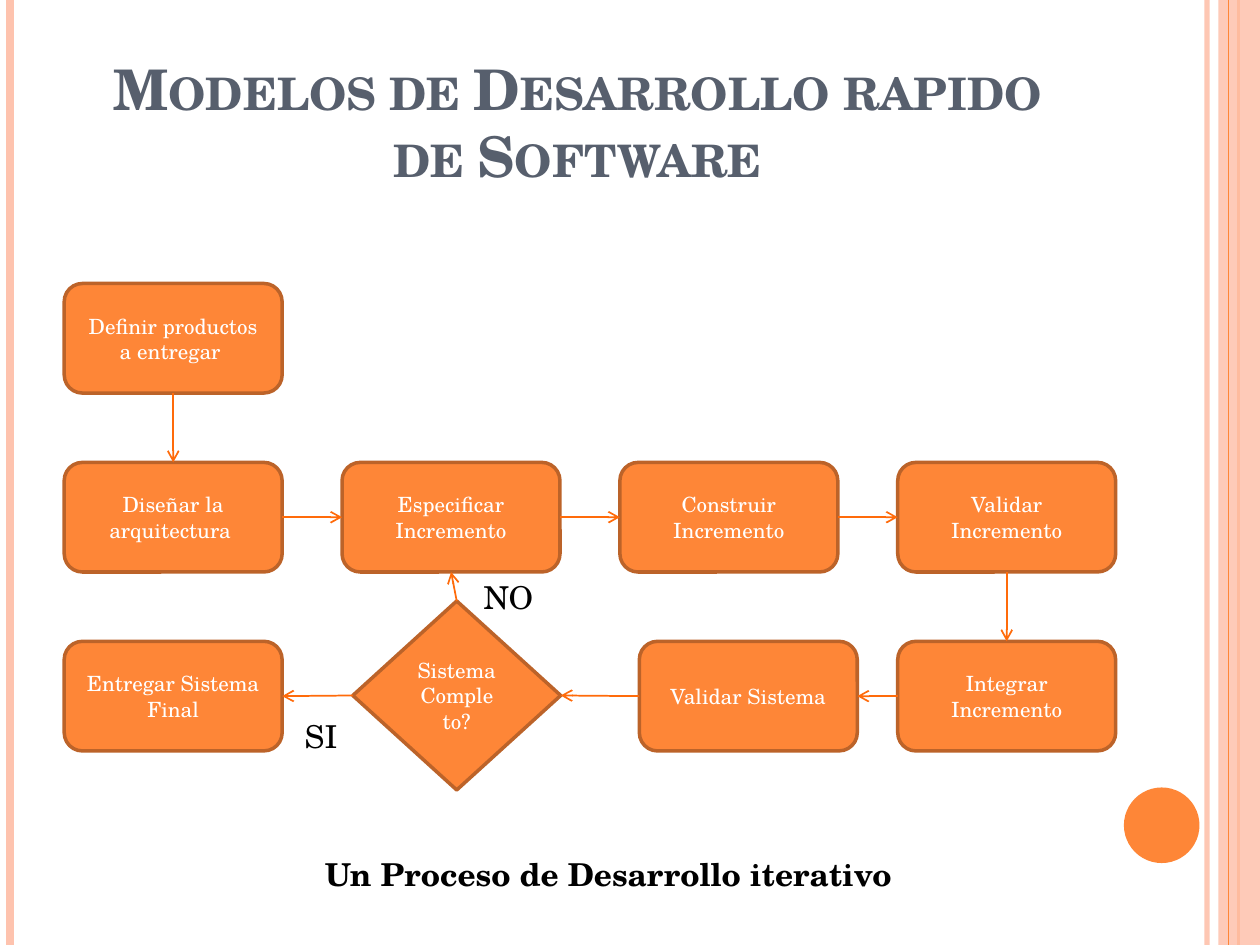
import pptx
import pptx.util
import pptx.dml.color
import pptx.enum.shapes
import pptx.enum.text
import pptx.oxml.ns
import lxml.etree

Inches = pptx.util.Inches
Shape = pptx.enum.shapes.MSO_SHAPE
Align = pptx.enum.text.PP_ALIGN
Anchor = pptx.enum.text.MSO_ANCHOR
qn = pptx.oxml.ns.qn

FONT = "TeX Gyre Schola"
COLORS = {"orange": "FE8637", "border": "BC6329", "arrow": "FF6B0A",
          "peach": "FEC3AE", "title": "575F6D", "white": "FFFFFF", "black": "000000"}
WIDTH, HEIGHT = 10, 7.5
TOP, LEFT, BOTTOM, RIGHT = range(4)
BOX_WIDTH, BOX_HEIGHT = 1.73, 0.87
COLUMN_STEP, ROW_STEP = 2.205, 1.42

STEPS = {
    "define": ("Definir productos a entregar ", 0, 0),
    "design": ("Diseñar la arquitectura ", 0, 1),
    "specify": ("Especificar Incremento", 1, 1),
    "build": ("Construir Incremento", 2, 1),
    "validate": ("Validar Incremento", 3, 1),
    "integrate": ("Integrar Incremento", 3, 2),
    "validate_system": ("Validar Sistema", 2.07, 2),
    "deliver": ("Entregar Sistema Final", 0, 2),
}
LINKS = [
    ("define", BOTTOM, "design", TOP),
    ("design", RIGHT, "specify", LEFT),
    ("specify", RIGHT, "build", LEFT),
    ("build", RIGHT, "validate", LEFT),
    ("validate", BOTTOM, "integrate", TOP),
    ("integrate", LEFT, "validate_system", RIGHT),
    ("validate_system", LEFT, "complete", RIGHT),
    ("complete", LEFT, "deliver", RIGHT),
    ("complete", TOP, "specify", BOTTOM),
]


def rgb(name):
    return pptx.dml.color.RGBColor.from_string(COLORS[name])


def set_alpha(fill, percent):
    color = fill._xPr.find(qn("a:solidFill"))[0]
    lxml.etree.SubElement(color, qn("a:alpha")).set("val", str(percent * 1000))


def write(shape, text, size, color, align=Align.CENTER, anchor=Anchor.MIDDLE, bold=False):
    frame = shape.text_frame
    frame.word_wrap = True
    frame.vertical_anchor = anchor
    paragraph = frame.paragraphs[0]
    paragraph.text = text
    paragraph.alignment = align
    font = paragraph.font
    font.name, font.size, font.bold = FONT, pptx.util.Pt(size), bold
    font.color.rgb = rgb(color)
    return paragraph


def add_shape(slide, kind, box, fill, border=None):
    shape = slide.shapes.add_shape(kind, *map(Inches, box))
    shape.shadow.inherit = False
    shape.fill.solid()
    shape.fill.fore_color.rgb = rgb(fill)
    if border:
        shape.line.color.rgb = rgb(border)
        shape.line.width = pptx.util.Pt(2)
    else:
        shape.line.fill.background()
    return shape


def add_line(slide, start, end, color, width):
    line = slide.shapes.add_connector(
        pptx.enum.shapes.MSO_CONNECTOR.STRAIGHT, *map(Inches, start + end))
    line.line.color.rgb = rgb(color)
    line.line.width = pptx.util.Pt(width)
    lxml.etree.SubElement(line._element.spPr, qn("a:effectLst"))
    return line


def add_label(slide, box, text, size, color="black", **style):
    label = slide.shapes.add_textbox(*map(Inches, box))
    return write(label, text, size, color, **style)


def add_side_bands(slide, width, height):
    def stripe(x, color, weight):
        return add_line(slide, (x, 0), (x, height), color, weight)

    set_alpha(stripe(width - 0.42, "peach", 3).line.fill, 93)
    stripe(0.08, "peach", 4.5)
    stripe(width - 0.17, "orange", 1.5)
    band = add_shape(slide, Shape.RECTANGLE, (width - 0.33, 0, 0.33, height), "peach")
    set_alpha(band.fill, 87)
    stripe(width - 0.25, "orange", 0.75)
    add_shape(slide, Shape.OVAL, (width - 1.08, height - 1.25, 0.6, 0.6), "orange")


def add_title(slide, box):
    paragraph = add_label(slide, box, "Modelos de Desarrollo rapido de Software", 32, "title",
                          anchor=Anchor.BOTTOM, bold=True)
    paragraph.font._rPr.set("cap", "small")


def add_arrow(slide, source, source_site, target, target_site):
    arrow = add_line(slide, (0, 0), (1, 1), "arrow", 1)
    arrow.begin_connect(source, source_site)
    arrow.end_connect(target, target_site)
    outline = arrow.line._get_or_add_ln()
    lxml.etree.SubElement(outline, qn("a:tailEnd")).set("type", "arrow")


def add_flowchart(slide, left, top):
    nodes = {}
    for name, (text, column, row) in STEPS.items():
        box = (left + column * COLUMN_STEP, top + row * ROW_STEP, BOX_WIDTH, BOX_HEIGHT)
        nodes[name] = add_shape(slide, Shape.ROUNDED_RECTANGLE, box, "orange", "border")
        write(nodes[name], text, 12, "white")
    nodes["complete"] = add_shape(
        slide, Shape.DIAMOND, (left + 2.29, top + 2.52, 1.65, 1.5), "orange", "border")
    write(nodes["complete"], "Sistema Completo?", 12, "white")
    for source, source_site, target, target_site in LINKS:
        add_arrow(slide, nodes[source], source_site, nodes[target], target_site)
    for text, x, y, width in (("SI", 1.81, 3.39, 0.47), ("NO", 3.23, 2.29, 0.71)):
        add_label(slide, (left + x, top + y, width, 0.4), text, 18,
                  align=Align.LEFT, anchor=Anchor.TOP)


presentation = pptx.Presentation()
presentation.slide_width, presentation.slide_height = Inches(WIDTH), Inches(HEIGHT)
slide = presentation.slides.add_slide(presentation.slide_layouts[6])
add_side_bands(slide, WIDTH, HEIGHT)
add_title(slide, (0.5, 0.3, 8.17, 1.25))
add_flowchart(slide, 0.51, 2.25)
add_label(slide, (2.48, 6.74, 4.8, 0.4), "Un Proceso de Desarrollo iterativo", 18,
          align=Align.LEFT, anchor=Anchor.TOP, bold=True)
presentation.save("out.pptx")
